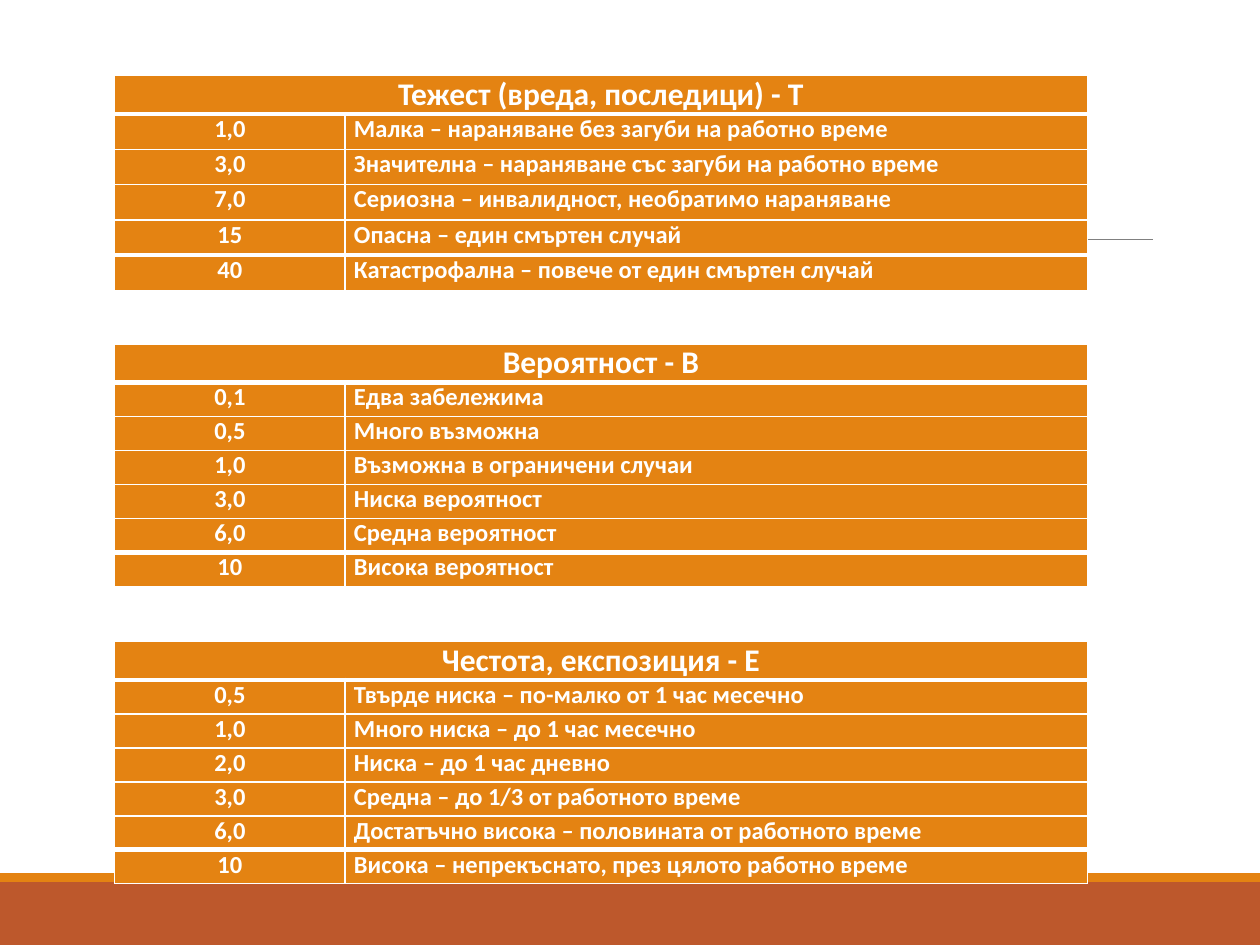
from lxml.etree import SubElement
from pptx import Presentation
from pptx.dml.color import RGBColor
from pptx.enum.shapes import MSO_CONNECTOR as CONN, MSO_SHAPE as SHAPE
from pptx.enum.text import PP_ALIGN as ALIGN
from pptx.oxml.ns import qn
from pptx.util import Inches, Pt

COLORS = {"rust": "BD582C", "orange": "E48312", "gray": "808080", "white": "FFFFFF"}
COL_WIDTHS = (1.83, 5.89)
TABLE_LEFT = 0.91
TABLES = [
    (0.6, 0.28, "Тежест (вреда, последици) - Т", [
        ("1,0", "Малка – нараняване без загуби на работно време"),
        ("3,0", "Значителна – нараняване със загуби на работно време"),
        ("7,0", "Сериозна – инвалидност, необратимо нараняване"),
        ("15", "Опасна – един смъртен случай"),
        ("40", "Катастрофална – повече от един смъртен случай"),
    ]),
    (2.73, 0.27, "Вероятност - В", [
        ("0,1", "Едва забележима"),
        ("0,5", "Много възможна"),
        ("1,0", "Възможна в ограничени случаи"),
        ("3,0", "Ниска вероятност"),
        ("6,0", "Средна вероятност"),
        ("10", "Висока вероятност"),
    ]),
    (5.09, 0.27, "Честота, експозиция - Е", [
        ("0,5", "Твърде ниска – по-малко от 1 час месечно"),
        ("1,0", "Много ниска – до 1 час месечно"),
        ("2,0", "Ниска – до 1 час дневно"),
        ("3,0", "Средна – до 1/3 от работното време"),
        ("6,0", "Достатъчно висока – половината от работното време"),
        ("10", "Висока – непрекъснато, през цялото работно време"),
    ]),
]


def rgb(name):
    """Return the named colour."""
    return RGBColor.from_string(COLORS[name])


def add_band(s, top, height, color):
    """Add a full-width footer band."""
    sp = s.shapes.add_shape(SHAPE.RECTANGLE, 0, Inches(top), Inches(10), Inches(height))
    sp.shadow.inherit = False
    sp.fill.solid()
    sp.fill.fore_color.rgb = rgb(color)
    sp.line.fill.background()


def add_rule(s, left, right, y):
    """Add a thin horizontal rule."""
    line = s.shapes.add_connector(
        CONN.STRAIGHT, Inches(left), Inches(y), Inches(right), Inches(y))
    line.line.color.rgb = rgb("gray")
    line.line.width = Pt(0.5)
    SubElement(line._element.spPr, qn("a:effectLst"))


def set_borders(cell, top, bottom):
    """Draw white borders with the given top and bottom widths."""
    tc_pr = cell._tc.get_or_add_tcPr()
    for side, width in {"L": 1, "R": 1, "T": top, "B": bottom}.items():
        ln = SubElement(tc_pr, qn(f"a:ln{side}"), w=str(Pt(width)))
        fill = SubElement(ln, qn("a:solidFill"))
        SubElement(fill, qn("a:srgbClr"), val=COLORS["white"])


def fill_cell(cell, text, size, align):
    """Write bold white text on an orange cell."""
    margins = {"margin_left": 0.07, "margin_right": 0.07, "margin_top": 0, "margin_bottom": 0}
    for name, value in margins.items():
        setattr(cell, name, Inches(value))
    cell.fill.solid()
    cell.fill.fore_color.rgb = rgb("orange")
    p = cell.text_frame.paragraphs[0]
    p.alignment = align
    r = p.add_run()
    r.text = text
    for name, value in {"name": "Calibri", "size": Pt(size), "bold": True}.items():
        setattr(r.font, name, value)
    r.font.color.rgb = rgb("white")


def add_scale(s, top, row_height, heading, rows):
    """Add a rating table with a merged heading row."""
    last = len(rows)
    table = s.shapes.add_table(
        last + 1, 2, Inches(TABLE_LEFT), Inches(top),
        Inches(sum(COL_WIDTHS)), Inches(row_height * (last + 1))).table
    for col, width in zip(table.columns, COL_WIDTHS):
        col.width = Inches(width)
    for i, row in enumerate(table.rows):
        row.height = Inches(row_height)
        for cell in row.cells:
            set_borders(cell, 3 if i in (1, last) else 1, 3 if i in (0, last - 1) else 1)
    table.cell(0, 0).merge(table.cell(0, 1))
    fill_cell(table.cell(0, 0), heading, 18, ALIGN.CENTER)
    for i, (score, meaning) in enumerate(rows, 1):
        fill_cell(table.cell(i, 0), score, 14, ALIGN.CENTER)
        fill_cell(table.cell(i, 1), meaning, 14, ALIGN.LEFT)


def main():
    """Build the slide with the three rating scales."""
    prs = Presentation()
    prs.slide_width, prs.slide_height = Inches(10), Inches(7.5)
    s = prs.slides.add_slide(prs.slide_layouts[6])
    add_band(s, 7, 0.5, "rust")
    add_band(s, 6.93, 0.07, "orange")
    add_rule(s, 0.98, 9.15, 1.9)
    for scale in TABLES:
        add_scale(s, *scale)
    prs.save("out.pptx")


if __name__ == "__main__":
    main()
